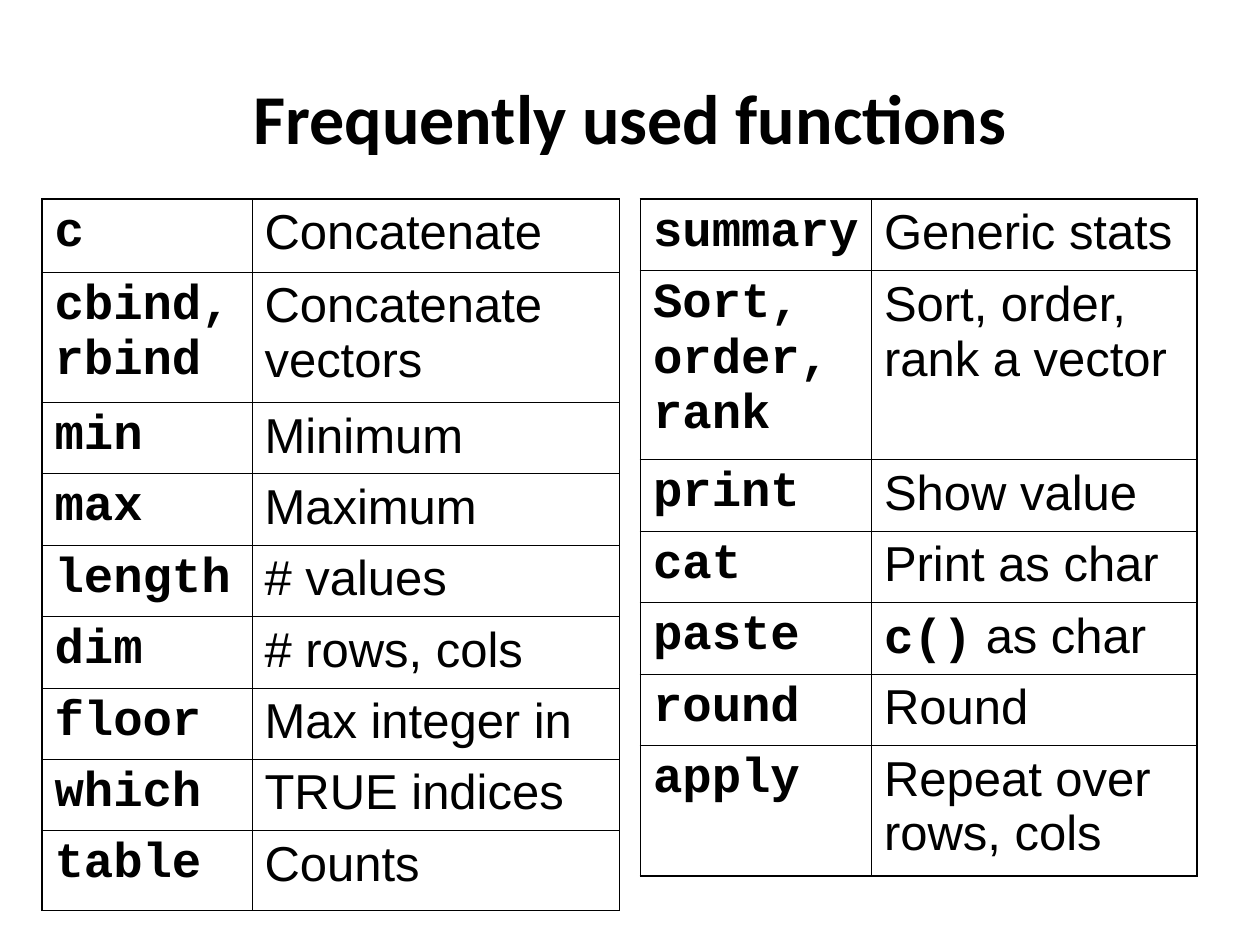
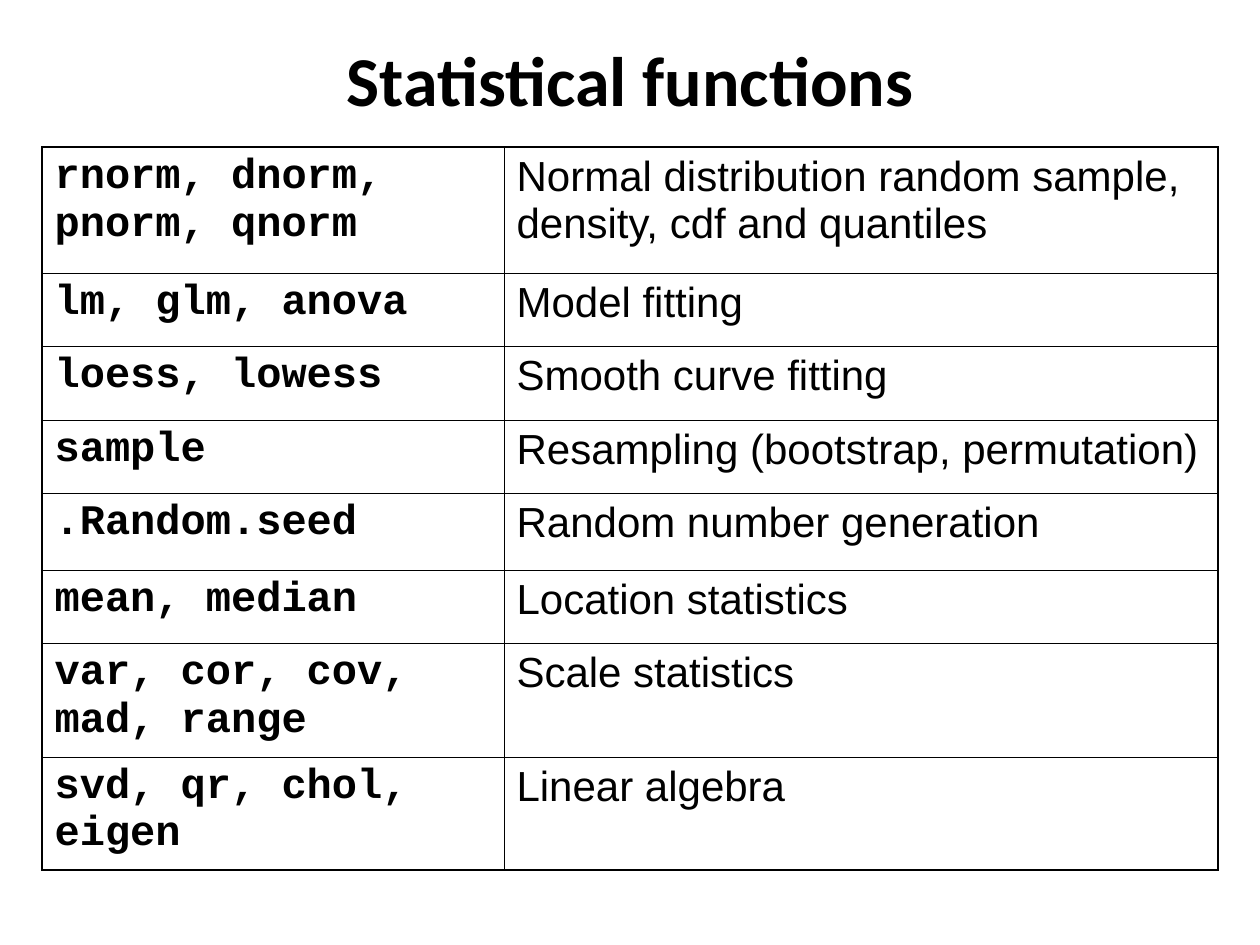
from dataclasses import dataclass

from lxml import etree
from pptx import Presentation
from pptx.dml.color import RGBColor
from pptx.enum.text import MSO_ANCHOR, PP_ALIGN
from pptx.oxml.ns import qn
from pptx.util import Pt

CENTER = PP_ALIGN.CENTER
MIDDLE = MSO_ANCHOR.MIDDLE
TITLE_ONLY_LAYOUT = 5


@dataclass(frozen=True)
class Theme:
    ink: str = "000000"
    paper: str = "FFFFFF"
    title_font: str = "Calibri"
    code_font: str = "Courier New"
    body_font: str = "Arial"
    title_size: float = 40
    outer_line: float = 1.08
    inner_line: float = 0.45


THEME = Theme()
SLIDE_SIZE = (720, 540)
TITLE_LEFT, TITLE_WIDTH, TITLE_HEIGHT = 36, 648, 90

SLIDES = [
    {
        "title": "Frequently used functions",
        "title_top": 21.6,
        "text_size": 28,
        "tables": [
            {
                "position": (24, 113.75),
                "columns": [120, 210],
                "heights": [41.75, 74.5] + [40.8] * 6 + [45.5],
                "rows": [
                    ("c", "Concatenate"),
                    ("cbind,rbind", "Concatenate vectors"),
                    ("min", "Minimum"),
                    ("max", "Maximum"),
                    ("length", "# values"),
                    ("dim", "# rows, cols"),
                    ("floor", "Max integer in"),
                    ("which", "TRUE indices"),
                    ("table", "Counts"),
                ],
            },
            {
                "position": (366, 113.75),
                "columns": [132, 186],
                "heights": [41, 108] + [40.8] * 4 + [74.4],
                "rows": [
                    ("summary", "Generic stats"),
                    ("Sort, order, rank", "Sort, order, rank a vector"),
                    ("print", "Show value"),
                    ("cat", "Print as char"),
                    ("paste", " as char", "c()"),
                    ("round", "Round"),
                    ("apply", "Repeat over rows, cols"),
                ],
            },
        ],
    },
    {
        "title": "Statistical functions",
        "title_top": 0,
        "text_size": 24,
        "tables": [
            {
                "position": (24, 84),
                "columns": [264, 408],
                "heights": [72, 42, 42, 42, 43.8, 42, 64.8, 64.8],
                "rows": [
                    ("rnorm, dnorm, pnorm, qnorm",
                     "Normal distribution random sample, density, cdf and quantiles"),
                    ("lm, glm, anova", "Model fitting"),
                    ("loess, lowess", "Smooth curve fitting"),
                    ("sample", "Resampling (bootstrap, permutation)"),
                    (".Random.seed", "Random number generation"),
                    ("mean, median", "Location statistics"),
                    ("var, cor, cov, mad, range", "Scale statistics"),
                    ("svd, qr, chol, eigen", "Linear algebra"),
                ],
            },
        ],
    },
]


def write_text(paragraph, text, *, font, size, bold=False):
    run = paragraph.add_run()
    run.text = text
    run.font.name = font
    run.font.size = Pt(size)
    run.font.bold = bold
    run.font.color.rgb = RGBColor.from_string(THEME.ink)


def set_borders(cell, outer_edges):
    properties = cell._tc.get_or_add_tcPr()
    for index, (edge, is_outer) in enumerate(outer_edges.items()):
        width = THEME.outer_line if is_outer else THEME.inner_line
        line = etree.Element(qn(f"a:ln{edge}"), w=str(int(Pt(width))))
        fill = etree.SubElement(line, qn("a:solidFill"))
        etree.SubElement(fill, qn("a:srgbClr"), val=THEME.ink)
        properties.insert(index, line)


def add_title(slide, text, top):
    title = slide.shapes.title
    title.left, title.top = Pt(TITLE_LEFT), Pt(top)
    title.width, title.height = Pt(TITLE_WIDTH), Pt(TITLE_HEIGHT)
    title.text_frame.vertical_anchor = MIDDLE
    paragraph = title.text_frame.paragraphs[0]
    paragraph.alignment = CENTER
    write_text(paragraph, text, font=THEME.title_font, size=THEME.title_size, bold=True)


def add_function_table(slide, content, text_size):
    columns, heights, rows = content["columns"], content["heights"], content["rows"]
    left, top = content["position"]
    table = slide.shapes.add_table(
        len(rows), len(columns), Pt(left), Pt(top), Pt(sum(columns)), Pt(sum(heights))
    ).table
    table.first_row = False
    table.horz_banding = False
    for column, width in zip(table.columns, columns):
        column.width = Pt(width)
    for row, height in zip(table.rows, heights):
        row.height = Pt(height)

    for row_index, (function, description, *code_prefix) in enumerate(rows):
        cell_runs = [
            [(function, True)],
            [(prefix, True) for prefix in code_prefix] + [(description, False)],
        ]
        for column_index, runs in enumerate(cell_runs):
            cell = table.cell(row_index, column_index)
            cell.fill.background()
            set_borders(cell, {
                "L": column_index == 0,
                "R": column_index == len(columns) - 1,
                "T": row_index == 0,
                "B": row_index == len(rows) - 1,
            })
            paragraph = cell.text_frame.paragraphs[0]
            paragraph.space_before = Pt(text_size / 4)
            for text, is_code in runs:
                font = THEME.code_font if is_code else THEME.body_font
                write_text(paragraph, text, font=font, size=text_size, bold=is_code)


def main():
    presentation = Presentation()
    presentation.slide_width, presentation.slide_height = map(Pt, SLIDE_SIZE)
    background = presentation.slide_master.background.fill
    background.solid()
    background.fore_color.rgb = RGBColor.from_string(THEME.paper)
    layout = presentation.slide_layouts[TITLE_ONLY_LAYOUT]
    for content in SLIDES:
        slide = presentation.slides.add_slide(layout)
        add_title(slide, content["title"], content["title_top"])
        for table_content in content["tables"]:
            add_function_table(slide, table_content, content["text_size"])
    presentation.save("out.pptx")


if __name__ == "__main__":
    main()
